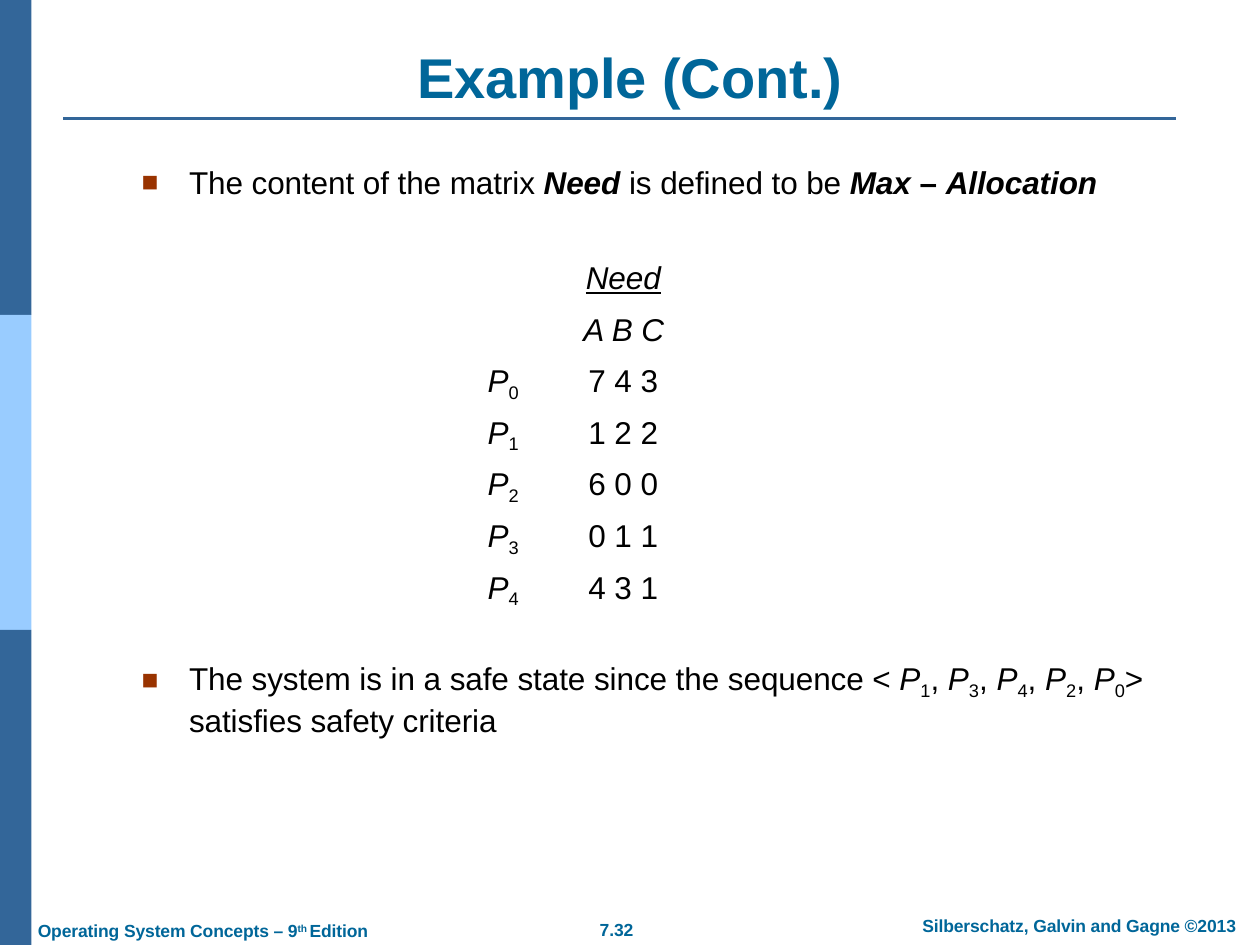
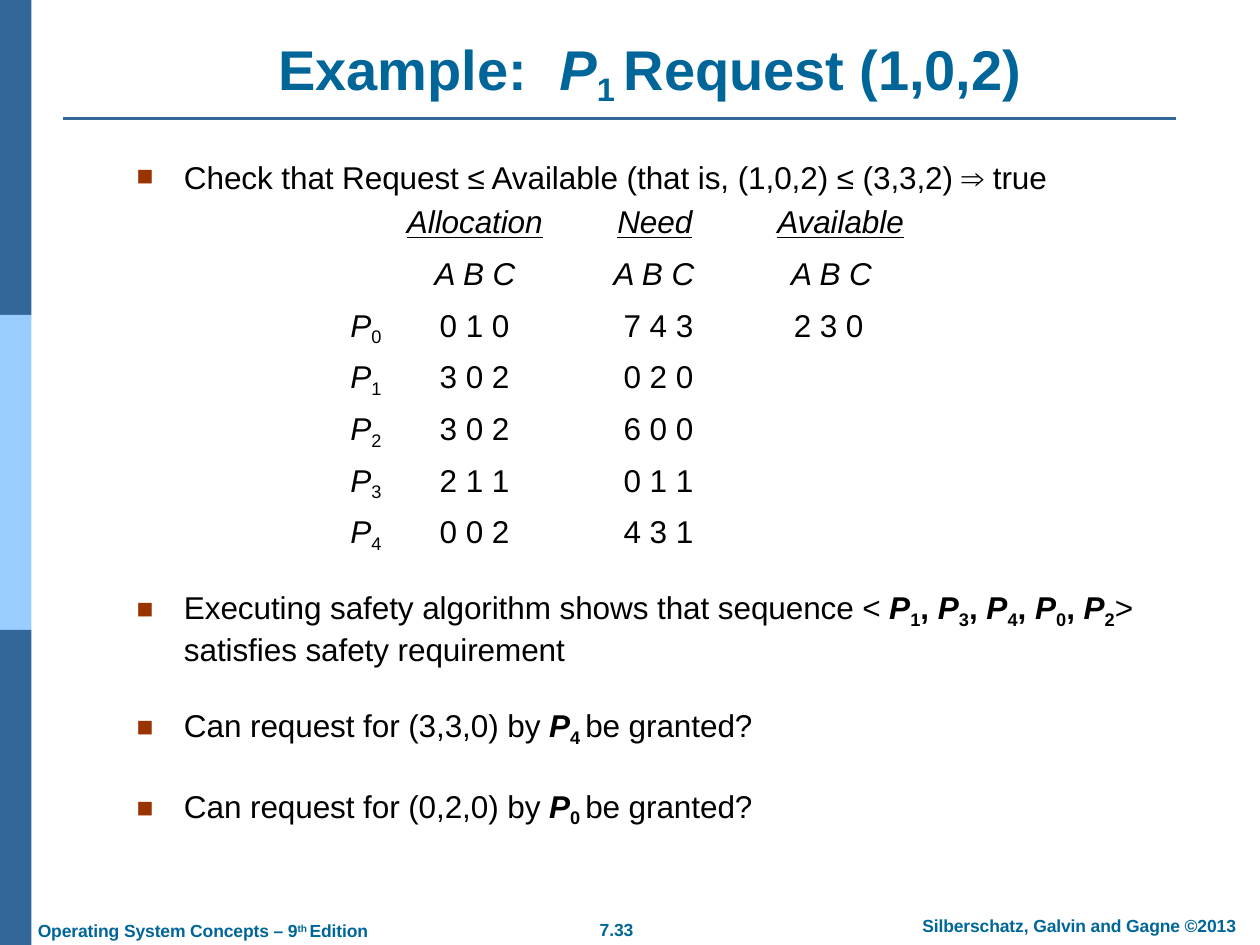
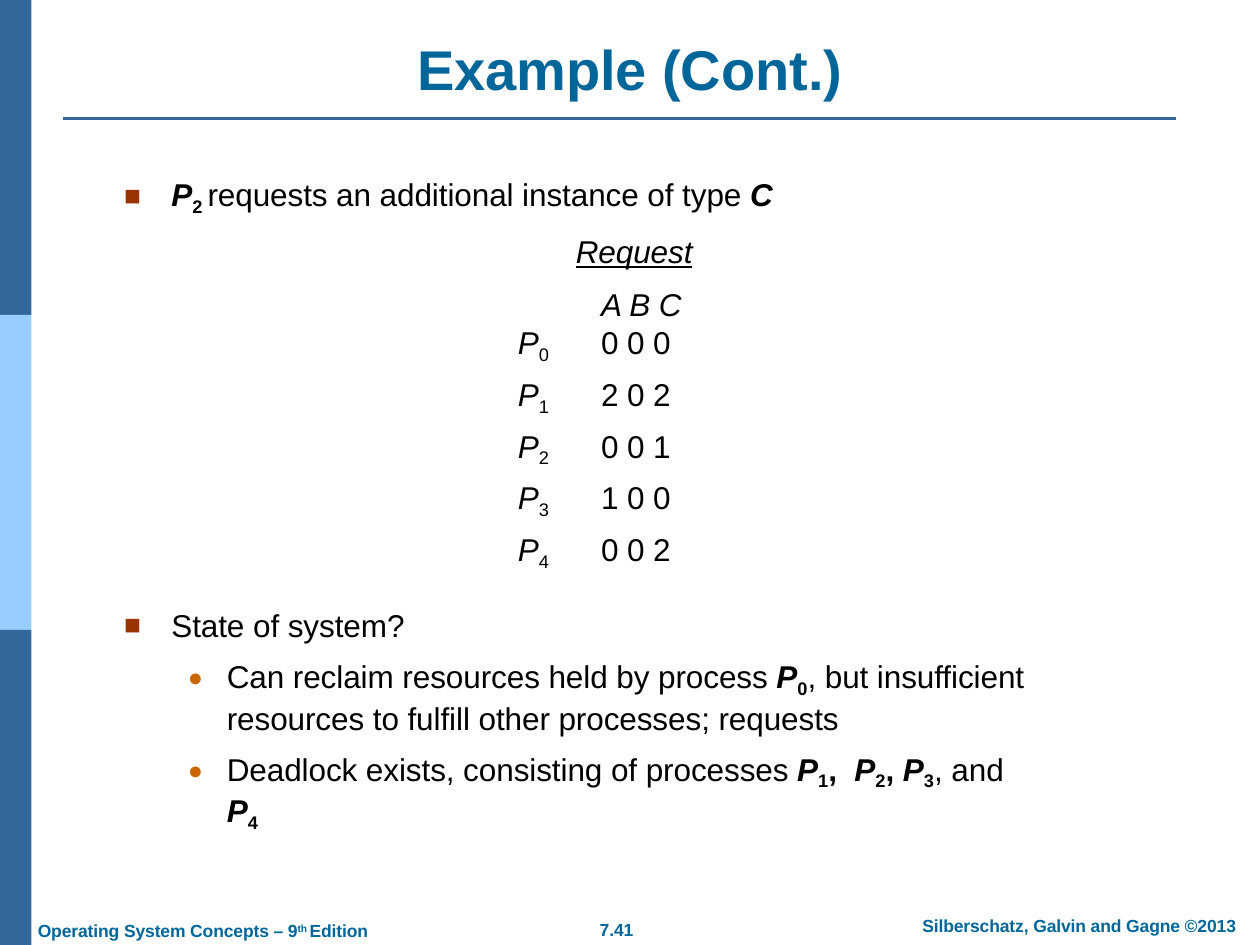
from lxml.etree import SubElement
from pptx import Presentation
from pptx.dml.color import RGBColor
from pptx.enum.shapes import MSO_CONNECTOR, MSO_SHAPE
from pptx.enum.text import MSO_ANCHOR, MSO_AUTO_SIZE, PP_ALIGN
from pptx.oxml.ns import qn
from pptx.util import Inches, Pt

COLORS = {
    "band": "336699",
    "band_light": "99CCFF",
    "title": "006699",
    "text": "000000",
    "square": "993300",
    "dot": "CC6600",
}
FONT = "Arial"
TITLE_SIZE, TEXT_SIZE, FOOTER_SIZE = 32, 18, 10
TWO_CONTENT_LAYOUT = 3
ROW_HEIGHT = 1.64

# Bullet per level: character, colour, size in percent, indent, hanging
BULLETS = [
    ("■", "square", 89, 1.56, 1.5),
    ("●", "dot", 80, 3.32, 1.24),
]


def grid(units):
    """Length of grid units; the slide has 40 columns and 30 rows."""
    return Inches(units / 4)


def rgb(name):
    return RGBColor.from_string(COLORS[name])


# Rich text is a list of (text, style); the style letters are
# b bold, i italic, u underlined, _ subscript, ^ superscript.
def process(number, style="", after=""):
    return [("P", style + "i"), (f"{number}{after}", style + "_")]


def sequence(numbers, style=""):
    parts = process(numbers[0], style)
    for number in numbers[1:]:
        parts += [(", ", style)] + process(number, style)
    return parts


class Deck:
    """Holds the shared style and the slide being filled."""

    def __init__(self):
        self.presentation = Presentation()
        self.presentation.slide_width = grid(40)
        self.presentation.slide_height = grid(30)
        self.slide = None

    def start_slide(self, number, title, place, tab=None):
        layout = self.presentation.slide_layouts[TWO_CONTENT_LAYOUT]
        self.slide = self.presentation.slides.add_slide(layout)
        for shape in list(self.slide.placeholders):
            if shape.placeholder_format.idx > 2:
                shape.element.getparent().remove(shape.element)
        self.bands()
        self.title(title, place, tab)
        self.footers(number)

    # Shared parts
    def bands(self):
        for index, color in enumerate(("band", "band_light", "band")):
            band = self.slide.shapes.add_shape(
                MSO_SHAPE.RECTANGLE, 0, grid(10 * index), grid(1), grid(10))
            band.shadow.inherit = False
            band.fill.solid()
            band.fill.fore_color.rgb = rgb(color)
            band.line.fill.background()
        rule = self.slide.shapes.add_connector(
            MSO_CONNECTOR.STRAIGHT, grid(2), grid(3.76), grid(37.33), grid(3.76))
        rule.line.color.rgb = rgb("band")
        rule.line.width = Pt(1.5)
        SubElement(rule.element.spPr, qn("a:effectLst"))

    def title(self, parts, place, tab):
        frame = self.place_text(self.slide.shapes.title, place)
        paragraph = frame.paragraphs[0]
        self.add_runs(paragraph, parts, TITLE_SIZE, "title", "b")
        if tab:
            tabs = SubElement(paragraph._p.get_or_add_pPr(), qn("a:tabLst"))
            SubElement(tabs, qn("a:tab"), pos=str(grid(tab)), algn="l")

    def footers(self, number):
        edition = [("Operating System Concepts – 9", ""), ("th ", "^"), ("Edition", "")]
        credit = [("Silberschatz, Galvin and Gagne ©2013", "")]
        for parts, place in (
            (credit, (29.28, 29.04, 10.5, 0.68)),
            (edition, (1.2, 29.2, 10.84, 0.68)),
            ([(number, "")], (19.04, 29.16, 1.6, 0.68)),
        ):
            box = self.slide.shapes.add_textbox(0, 0, 0, 0)
            frame = self.place_text(box, place)
            self.add_runs(frame.paragraphs[0], parts, FOOTER_SIZE, "title", "b")

    # Text
    def place_text(self, shape, place):
        shape.left, shape.top, shape.width, shape.height = map(grid, place)
        frame = shape.text_frame
        frame.margin_left = frame.margin_right = 0
        frame.margin_top = frame.margin_bottom = 0
        frame.word_wrap = True
        frame.auto_size = MSO_AUTO_SIZE.NONE
        frame.vertical_anchor = MSO_ANCHOR.TOP
        return frame

    def add_runs(self, paragraph, parts, size=TEXT_SIZE, color="text", base=""):
        paragraph.alignment = PP_ALIGN.LEFT
        for text, style in parts:
            style += base
            run = paragraph.add_run()
            run.text = text
            font = run.font
            font.name, font.size = FONT, Pt(size)
            font.color.rgb = rgb(color)
            font.bold, font.italic = "b" in style, "i" in style
            font.underline = "u" in style
            properties = font._element
            properties.set("spc", "-5")
            if "_" in style:
                properties.set("baseline", "-21000")
            elif "^" in style:
                properties.set("baseline", "26000")

    def text_list(self, slot, place, items):
        """Fill content placeholder 1 or 2 with (parts, level, space before)."""
        frame = self.place_text(self.slide.placeholders[slot], place)
        for index, (parts, level, space) in enumerate(items):
            paragraph = frame.add_paragraph() if index else frame.paragraphs[0]
            paragraph.level = level
            paragraph.space_before = Pt(space)
            self.add_runs(paragraph, parts)
            self.bullet(paragraph, level)
        return frame

    def bullet(self, paragraph, level):
        character, color, percent, indent, hanging = BULLETS[level]
        properties = paragraph._p.get_or_add_pPr()
        properties.set("marL", str(grid(indent)))
        properties.set("indent", str(-grid(hanging)))
        bullet_color = SubElement(properties, qn("a:buClr"))
        SubElement(bullet_color, qn("a:srgbClr"), val=COLORS[color])
        SubElement(properties, qn("a:buSzPct"), val=str(percent * 1000))
        SubElement(properties, qn("a:buFont"), typeface=FONT)
        SubElement(properties, qn("a:buChar"), char=character)

    def heading_line(self, frame, parts, indent):
        """Add a line without bullet below a list."""
        paragraph = frame.add_paragraph()
        paragraph.line_spacing = 1.4
        paragraph.space_before = Pt(0)
        self.add_runs(paragraph, parts)
        properties = paragraph._p.get_or_add_pPr()
        properties.set("marL", str(grid(indent)))
        properties.set("indent", "0")
        SubElement(properties, qn("a:buNone"))

    # Tables
    def matrix(self, left, top, widths, headings, values, indents):
        """Process rows; indents give heading, letters and value per column."""
        rows = []
        if headings:
            rows.append([[]] + [[(heading, "iu")] for heading in headings])
            rows.append([[]] + [[("A B C", "i")] for _ in headings])
        first = len(rows)
        for number, entries in enumerate(values):
            rows.append([process(number)] + [[(entry, "")] for entry in entries])
        table = self.slide.shapes.add_table(
            len(rows), len(widths), grid(left), grid(top),
            grid(sum(widths)), grid(ROW_HEIGHT * len(rows))).table
        table.first_row = table.horz_banding = False
        for column, width in zip(table.columns, widths):
            column.width = grid(width)
        for row_index, row in enumerate(rows):
            table.rows[row_index].height = grid(ROW_HEIGHT)
            kind = row_index if row_index < first else 2
            for column_index in range(len(widths)):
                cell = table.cell(row_index, column_index)
                cell.fill.background()
                cell.margin_left = grid(indents[column_index][kind])
                cell.margin_right = cell.margin_top = cell.margin_bottom = 0
                if column_index < len(row):
                    self.add_runs(cell.text_frame.paragraphs[0], row[column_index])
        if headings:
            table.cell(0, 0).merge(table.cell(1, 0))


def need_slide(deck):
    deck.start_slide("7.32", [("Example (Cont.)", "")], (13.24, 1.36, 14.4, 2.16))
    definition = [
        ("The content of the matrix ", ""), ("Need ", "bi"),
        ("is defined to be ", ""), ("Max ", "bi"), ("– ", "b"), ("Allocation", "bi"),
    ]
    deck.text_list(1, (4.44, 5.16, 31.5, 1.24), [(definition, 0, 0)])
    deck.matrix(
        15.4, 8.28, (2.12, 3.68), ["Need"],
        [["7 4 3"], ["1 2 2"], ["6 0 0"], ["0 1 1"], ["4 3 1"]],
        [(0.08,) * 3, (1.08, 1, 1.16)])
    safe_state = [("The system is in a safe state since the sequence < ", "")]
    safe_state += sequence((1, 3, 4, 2, 0)) + [("> satisfies safety criteria", "")]
    deck.text_list(2, (4.44, 20.92, 32.28, 2.44), [(safe_state, 0, 0)])


def request_slide(deck):
    title = [("Example:\t", "")] + process(1, after=" ") + [("Request (1,0,2)", "")]
    deck.start_slide("7.33", title, (8.84, 1.08, 24.4, 2.48), tab=8.92)
    check = [("Check that Request ≤ Available (that is, (1,0,2) ≤ (3,3,2) ⇒ true", "")]
    deck.text_list(1, (4.28, 5, 30, 1.24), [(check, 0, 0)])
    deck.matrix(
        11, 6.52, (1.52, 5.84, 5.04, 5.44), ["Allocation", "Need", "Available"],
        [["0 1 0", "7 4 3", "2 3 0"], ["3 0 2", "0 2 0"], ["3 0 2", "6 0 0"],
         ["2 1 1", "0 1 1"], ["0 0 2", "4 3 1"]],
        [(0.12,) * 3, (0.4, 1.28, 1.44), (1.24, 1.12, 1.44), (1.28, 1.72, 1.8)])
    safety = [("Executing safety algorithm shows that sequence < ", "")]
    safety += sequence((1, 3, 4, 0, 2), "b") + [("> satisfies safety requirement", "")]
    items = [(safety, 0, 0)]
    for request, number in (("(3,3,0)", 4), ("(0,2,0)", 0)):
        question = [(f"Can request for {request} by ", "")]
        question += process(number, "b", " ") + [("be granted?", "")]
        items.append((question, 0, 22))
    deck.text_list(2, (4.28, 18.68, 32.12, 7.32), items)


def deadlock_slide(deck):
    deck.start_slide("7.41", [("Example (Cont.)", "")], (13.24, 1.08, 14.4, 2.2))
    extra = process(2, "b", " ")
    extra += [("requests an additional instance of type ", ""), ("C", "bi")]
    frame = deck.text_list(1, (3.88, 5.56, 20.96, 4.48), [(extra, 0, 0)])
    deck.heading_line(frame, [("Request", "iu")], 14.4)
    deck.heading_line(frame, [("A B C", "i")], 15.2)
    deck.matrix(
        16.36, 10.36, (1.92, 3.08), [],
        [["0 0 0"], ["2 0 2"], ["0 0 1"], ["1 0 0"], ["0 0 2"]],
        [(0.08,) * 3, (0.8,) * 3])
    reclaim = [("Can reclaim resources held by process ", "")] + process(0, "b")
    reclaim += [(", but insufficient resources to fulfill other processes; requests", "")]
    deadlock = [("Deadlock exists, consisting of processes ", "")] + process(1, "b")
    deadlock += [(",  ", "b")] + sequence((2, 3), "b")
    deadlock += [(", and ", "")] + process(4, "b")
    deck.text_list(2, (3.88, 19.24, 28.8, 5.88), [
        ([("State of system?", "")], 0, 0), (reclaim, 1, 7.5), (deadlock, 1, 7.5)])


def main():
    deck = Deck()
    need_slide(deck)
    request_slide(deck)
    deadlock_slide(deck)
    deck.presentation.save("out.pptx")


if __name__ == "__main__":
    main()
